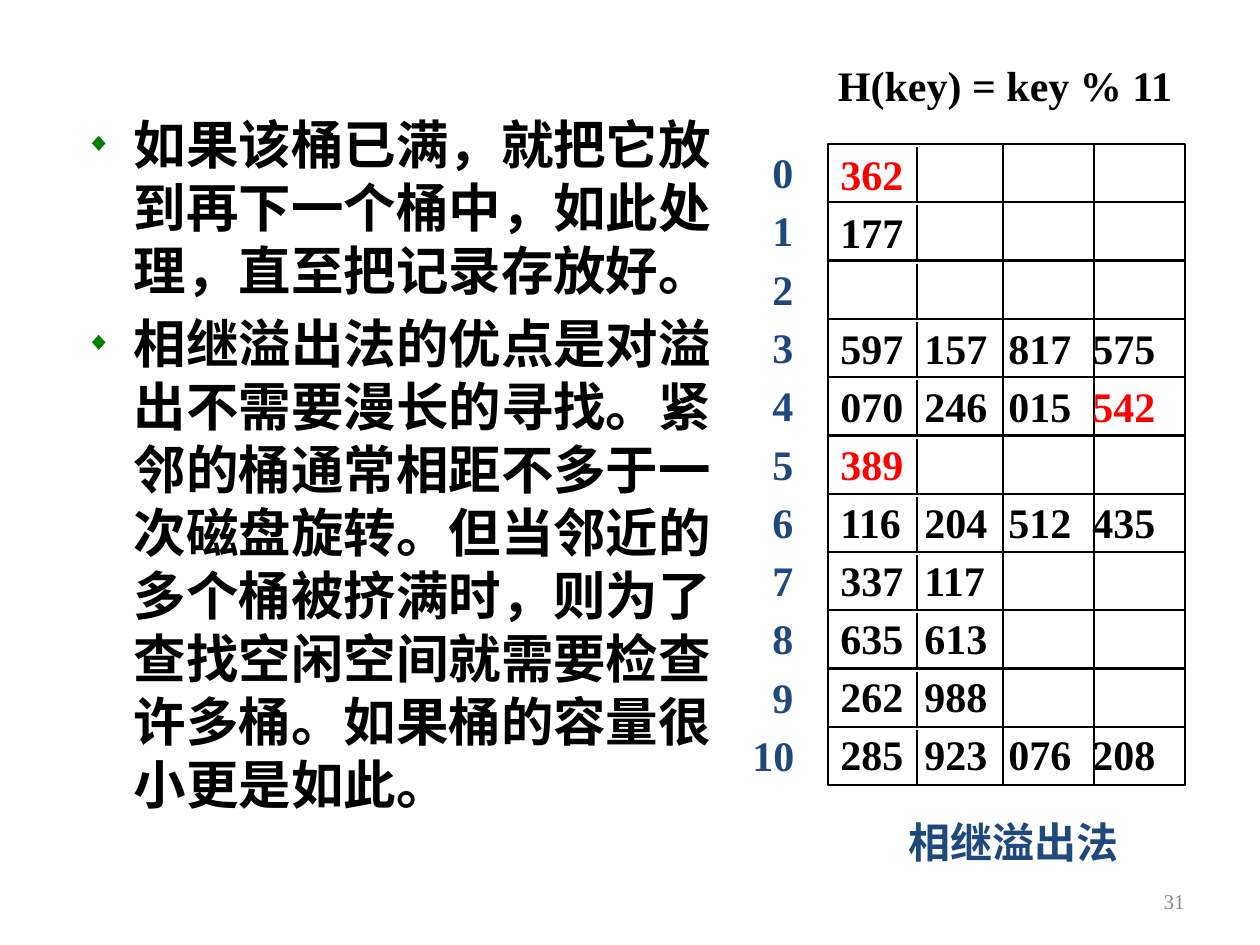
from lxml.etree import SubElement
from pptx import Presentation
from pptx.dml.color import RGBColor
from pptx.enum.shapes import MSO_CONNECTOR, MSO_SHAPE
from pptx.enum.text import MSO_ANCHOR, MSO_AUTO_SIZE, PP_ALIGN
from pptx.oxml.ns import qn
from pptx.util import Emu, Pt

BLACK = RGBColor(0x00, 0x00, 0x00)
RED = RGBColor(0xFF, 0x00, 0x00)
NAVY = RGBColor(0x1F, 0x49, 0x7D)
GRAY = RGBColor(0x89, 0x89, 0x89)
SERIF = "Times New Roman"


def px(count):
    return Emu(round(count * 914400 / 126))


def write(text, at=None, para=None, size=24, color=BLACK, font=SERIF, bold=True,
          align=PP_ALIGN.LEFT, anchor=MSO_ANCHOR.TOP):
    """Add a span to para, or to a new text box placed at (left, top, width, height)."""
    if para is None:
        box = page.shapes.add_textbox(*map(px, at))
        box.text_frame.word_wrap = True
        box.text_frame.vertical_anchor = anchor
        para = box.text_frame.paragraphs[0]
        para.alignment = align
    span = para.add_run()
    span.text = text
    span.font.size = Pt(size)
    span.font.name = font
    span.font.bold = bold
    span.font.color.rgb = color


deck = Presentation()
deck.slide_width, deck.slide_height = px(1260), px(945)
page = deck.slides.add_slide(deck.slide_layouts[1])
title = page.shapes.title
title.element.getparent().remove(title.element)

# Explanation list
body = page.placeholders[1]
body.left, body.top, body.width, body.height = map(px, (73, 106, 656, 753))
body.text_frame.auto_size = MSO_AUTO_SIZE.NONE
points = [
    ("如果该桶已满，就把它放到再下一个桶中，如此处理，直至把记录存放好。", SERIF),
    ("相继溢出法的优点是对溢出不需要漫长的寻找。紧邻的桶通常相距不多于一次磁盘旋转。"
     "但当邻近的多个桶被挤满时，则为了查找空闲空间就需要检查许多桶。"
     "如果桶的容量很小更是如此。", "Calibri"),
]
for index, (text, font) in enumerate(points):
    frame = body.text_frame
    para = frame.add_paragraph() if index else frame.paragraphs[0]
    para.line_spacing = Pt(36)
    para.space_before = Pt(5.6)
    write(text, para=para, size=30, font=font)
    props = para._p.get_or_add_pPr()
    props.set("marL", str(px(48)))
    props.set("indent", str(-px(48)))
    bullet_color = SubElement(props, qn("a:buClr"))
    SubElement(bullet_color, qn("a:srgbClr"), val="008000")
    SubElement(props, qn("a:buSzPct"), val="50000")
    SubElement(props, qn("a:buChar"), char="◆")

# Bucket grid with row numbers
GRID_LEFT, GRID_TOP, GRID_WIDTH = 828, 144, 357
ROW_PITCH, ROW_HEIGHT = 58.3, 58
for row in range(11):
    top = round(GRID_TOP + row * ROW_PITCH)
    bucket = page.shapes.add_shape(
        MSO_SHAPE.RECTANGLE, px(GRID_LEFT), px(top), px(GRID_WIDTH), px(ROW_HEIGHT))
    bucket.shadow.inherit = False
    bucket.fill.background()
    bucket.line.color.rgb = BLACK
    bucket.line.width = Pt(0.75)
    for x, gap in ((917, 3), (1003, 0), (1094, 0)):
        divider = page.shapes.add_connector(
            MSO_CONNECTOR.STRAIGHT, px(x), px(top + gap), px(x), px(top + ROW_HEIGHT))
        divider.line.color.rgb = BLACK
        divider.line.width = Pt(0.75)
        SubElement(divider.element.spPr, qn("a:effectLst"))
    left, width = (740, 96) if row == 10 else (760, 81)
    write(str(row), at=(left, top - 4, width, 82), color=NAVY)

# Stored keys, one paragraph per filled bucket
buckets = ["362", "177", "", "597 157 817 575", "070 246 015 542", "389",
           "116 204 512 435", "337 117", "635 613", "262 988", "285 923 076 208"]
overflow = {"362", "542", "389"}
LINE = 33.15
keys_box = page.shapes.add_textbox(px(GRID_LEFT), px(135), px(403), px(698))
keys_box.text_frame.word_wrap = True
para = keys_box.text_frame.paragraphs[0]
skipped = 0
for row, bucket in enumerate(buckets):
    if not bucket:
        skipped += 1
        continue
    if row:
        para = keys_box.text_frame.add_paragraph()
    para.line_spacing = Pt(LINE)
    para.space_before = Pt(LINE * skipped)
    skipped = 0
    tabs = SubElement(para._p.get_or_add_pPr(), qn("a:tabLst"))
    for column in range(1, 4):
        SubElement(tabs, qn("a:tab"), pos=str(px(84 * column)), algn="l")
    for column, key in enumerate(bucket.split()):
        write("\t" + key if column else key, para=para,
              color=RED if key in overflow else BLACK)

# Formula, caption and page number
write("H(key) = key % 11", at=(824, 53, 362, 63), align=PP_ALIGN.CENTER)
write("相继溢出法", at=(834, 810, 359, 79), color=NAVY, font="Courier New",
      align=PP_ALIGN.CENTER)
write("31", at=(903, 876, 294, 50), size=12, color=GRAY, bold=False,
      align=PP_ALIGN.RIGHT, anchor=MSO_ANCHOR.MIDDLE)

deck.save("out.pptx")
